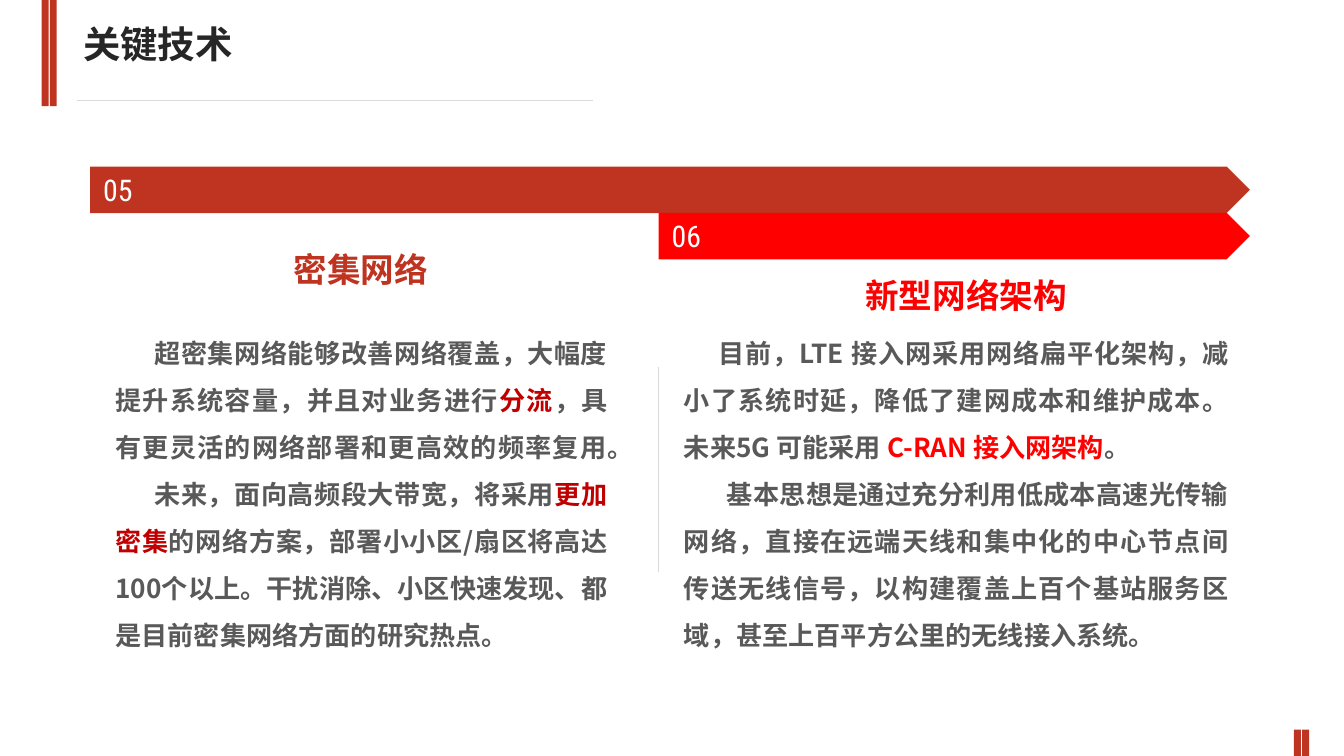
import collections

import lxml.etree
import pptx
import pptx.dml.color
import pptx.enum.shapes
import pptx.enum.text
import pptx.oxml.ns
import pptx.util

Box = collections.namedtuple("Box", "left top width height")
SHAPES = pptx.enum.shapes.MSO_SHAPE
ALIGN = pptx.enum.text.PP_ALIGN
ANCHOR = pptx.enum.text.MSO_ANCHOR
AUTO_SIZE = pptx.enum.text.MSO_AUTO_SIZE

PAGE_WIDTH = pptx.util.Inches(10)
PAGE_HEIGHT = PAGE_WIDTH * 9 // 16

CHINESE = "Noto Sans CJK SC"
LATIN = "Roboto Condensed"
BRICK, RED, CRIMSON = "BF3420", "FF0000", "C00000"
GREY, INK, RULE, WHITE = "595959", "262626", "D9D9D9", "FFFFFF"

TITLE = {"size": pptx.util.Pt(20), "name": LATIN, "bold": True}
NUMBER = {"size": pptx.util.Pt(16), "name": LATIN}
HEADING = {"size": pptx.util.Pt(18), "name": CHINESE, "bold": True}
BODY = {"size": pptx.util.Pt(14), "name": CHINESE, "bold": True}
JUSTIFIED = {"alignment": ALIGN.JUSTIFY, "line_spacing": 1.5}
LEFT = {"alignment": ALIGN.LEFT}

DENSE = {
    "number": "05",
    "accent": BRICK,
    "heading": "密集网络",
    "heading_font": HEADING,
    "arrow_box": (0, 0, 204.02, 9.5),
    "heading_box": (33.5, 15.4, 48.94, 11),
    "body_box": (2.13, 30.3, 91.25, 69.7),
    "paragraphs": [
        (0.29, [
            ("超密集网络能够改善网络覆盖，大幅度提升系统容量，并且对业务进行", GREY),
            ("分流", CRIMSON),
            ("，具有更灵活的网络部署和更高效的频率复用。", GREY),
        ]),
        (0.29, [
            ("未来，面向高频段大带宽，将采用", GREY),
            ("更加密集", CRIMSON),
            ("的网络方案，部署小小区/扇区将高达100个以上。干扰消除、"
             "小区快速发现、都是目前密集网络方面的研究热点。", GREY),
        ]),
    ],
}
ARCHITECTURE = {
    "number": "06",
    "accent": RED,
    "heading": "新型网络架构",
    "heading_font": {**HEADING, "name": "Arial"},
    "arrow_box": (0, 0, 100, 10.5),
    "heading_box": (32.73, 12.6, 47.05, 12.16),
    "body_box": (2.05, 23.1, 96.6, 76.9),
    "paragraphs": [
        (0.26, [
            ("目前，LTE 接入网采用网络扁平化架构，减小了系统时延，"
             "降低了建网成本和维护成本。未来5G 可能采用 ", GREY),
            ("C-RAN 接入网架构", RED),
            ("。", GREY),
        ]),
        (0.32, [
            ("基本思想是通过充分利用低成本高速光传输网络，直接在远端天线"
             "和集中化的中心节点间传送无线信号，以构建覆盖上百个基站服务区域，"
             "甚至上百平方公里的无线接入系统。", GREY),
        ]),
    ],
}


def color(hex_value):
    return pptx.dml.color.RGBColor.from_string(hex_value)


def apply(target, values):
    for name, value in values.items():
        setattr(target, name, value)


def within(box, left, top, width, height):
    return Box(
        round(box.left + box.width * left / 100),
        round(box.top + box.height * top / 100),
        round(box.width * width / 100),
        round(box.height * height / 100),
    )


def add_runs(paragraph, runs, font):
    for words, hue in runs:
        run = paragraph.add_run()
        run.text = words
        apply(run.font, font)
        run.font.color.rgb = color(hue)
        east_asian = lxml.etree.SubElement(
            run.font._element, pptx.oxml.ns.qn("a:ea"))
        east_asian.set("typeface", CHINESE)


def add_text(slide, box, paragraphs, font, layout):
    frame = slide.shapes.add_textbox(*box).text_frame
    apply(frame, {"word_wrap": True, "auto_size": AUTO_SIZE.SHAPE_TO_FIT_TEXT})
    for index, (indent, runs) in enumerate(paragraphs):
        paragraph = frame.add_paragraph() if index else frame.paragraphs[0]
        apply(paragraph, layout)
        properties = paragraph._p.get_or_add_pPr()
        properties.set("marL", "0")
        properties.set("indent", str(int(pptx.util.Inches(indent))))
        add_runs(paragraph, runs, font)


def add_solid(slide, kind, box, hue):
    solid = slide.shapes.add_shape(kind, *box)
    solid.shadow.inherit = False
    solid.fill.solid()
    solid.fill.fore_color.rgb = color(hue)
    solid.line.fill.background()
    return solid


def add_rule(slide, box):
    rule = slide.shapes.add_connector(
        pptx.enum.shapes.MSO_CONNECTOR.STRAIGHT, box.left, box.top,
        box.left + box.width, box.top + box.height)
    rule.line.color.rgb = color(RULE)
    rule.line.width = pptx.util.Pt(0.75)
    lxml.etree.SubElement(
        rule._element.spPr, pptx.oxml.ns.qn("a:effectLst"))


def add_twin_bars(slide, box):
    for left in (0, 54):
        add_solid(slide, SHAPES.RECTANGLE, within(box, left, 0, 46, 100), BRICK)


def add_header(slide, box):
    add_rule(slide, within(box, 1.2, 94.6, 90.8, 0))
    add_text(slide, within(box, 0, 14, 100, 55.7),
             [(0, [("关键技术", INK)])], TITLE, LEFT)


def add_topic(slide, box, topic):
    arrow = add_solid(slide, SHAPES.PENTAGON,
                      within(box, *topic["arrow_box"]), topic["accent"])
    apply(arrow.text_frame, {"vertical_anchor": ANCHOR.MIDDLE, "word_wrap": True})
    label = arrow.text_frame.paragraphs[0]
    apply(label, LEFT)
    add_runs(label, [(topic["number"], WHITE)], NUMBER)
    add_text(slide, within(box, *topic["heading_box"]),
             [(0, [(topic["heading"], topic["accent"])])],
             topic["heading_font"], LEFT)
    add_text(slide, within(box, *topic["body_box"]),
             topic["paragraphs"], BODY, JUSTIFIED)


def main():
    deck = pptx.Presentation()
    apply(deck, {"slide_width": PAGE_WIDTH, "slide_height": PAGE_HEIGHT})
    slide = deck.slides.add_slide(deck.slide_layouts[6])
    page = Box(0, 0, PAGE_WIDTH, PAGE_HEIGHT)

    add_twin_bars(slide, within(page, 3.1, 0, 1.13, 14.04))
    add_twin_bars(slide, within(page, 96.28, 96.53, 1.13, 3.47))
    add_header(slide, within(page, 5.2, 0, 42.3, 14.04))
    add_topic(slide, within(page, 6.7, 22.04, 42.3, 64.6), DENSE)
    add_topic(slide, within(page, 49, 28.16, 44, 58.48), ARCHITECTURE)
    add_rule(slide, within(page, 49, 48.53, 0, 27.2))
    deck.save("out.pptx")


if __name__ == "__main__":
    main()
